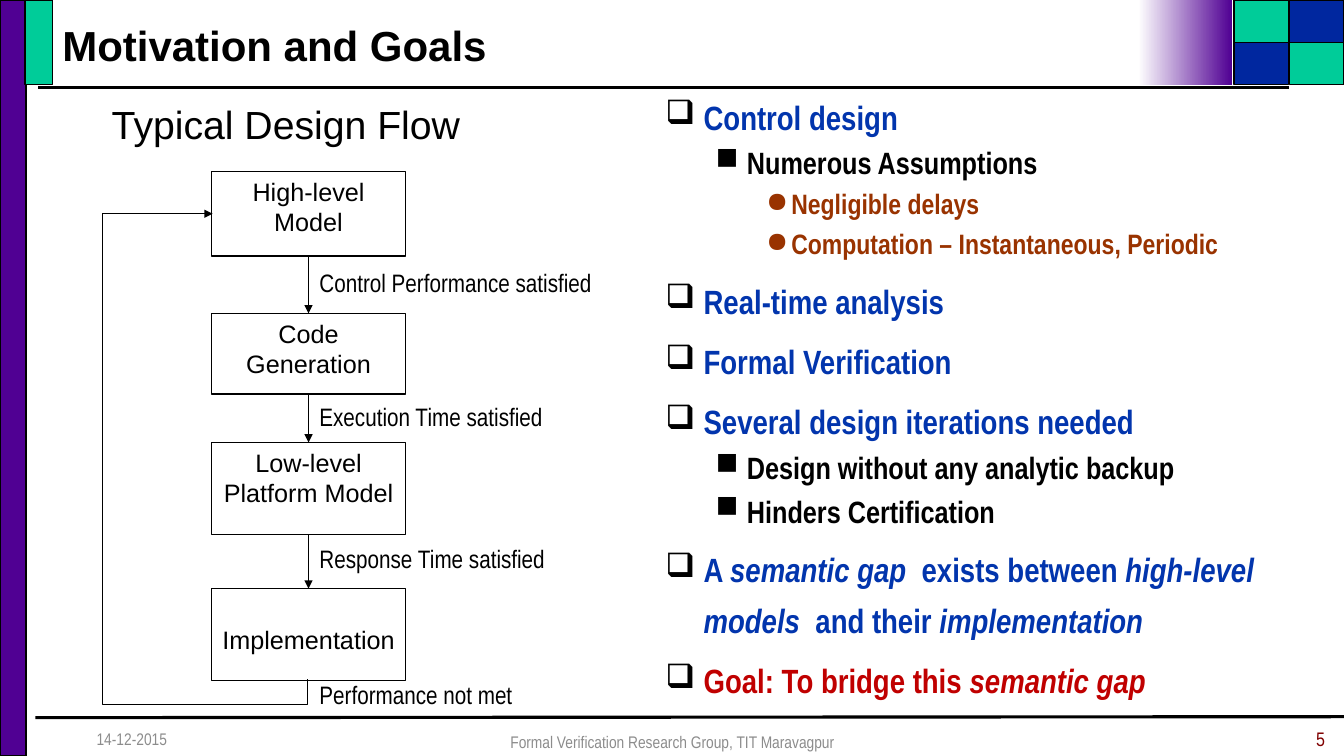
import dataclasses

import lxml.etree
import pptx
import pptx.dml.color
import pptx.enum.shapes
import pptx.enum.text
import pptx.oxml.ns
import pptx.util

Inches = pptx.util.Inches
Pt = pptx.util.Pt
ALIGN = pptx.enum.text.PP_ALIGN
ANCHOR = pptx.enum.text.MSO_ANCHOR
LINK = pptx.enum.shapes.MSO_CONNECTOR
RECT = pptx.enum.shapes.MSO_SHAPE.RECTANGLE


@dataclasses.dataclass(frozen=True)
class Theme:
    """Colours, fonts and type sizes of the slide."""
    black: str = "000000"
    white: str = "FFFFFF"
    purple: str = "500093"
    navy: str = "00279F"
    green: str = "00CC99"
    blue: str = "0235AD"
    brown: str = "993300"
    red: str = "C00000"
    maroon: str = "800000"
    grey: str = "8C8C8C"
    sans: str = "Arial"
    narrow: str = "Arial Narrow"
    title: int = 30
    head: int = 28
    label: int = 18
    page: int = 14
    foot: int = 12


@dataclasses.dataclass(frozen=True)
class Level:
    """Look of one bullet level."""
    mark: str
    tint: str
    color: str
    size: int
    left: float
    hang: float
    lines: float
    before: float


T = Theme()
LEVELS = [
    Level("❑", T.black, T.blue, 24, 0.38, 0.38, 1.25, 7.2),
    Level("■", T.black, T.black, 22, 0.81, 0.31, 1.1, 2.2),
    Level("●", T.brown, T.brown, 20, 1.25, 0.25, 1.1, 2),
]
POINTS = [
    (0, "Control design"),
    (1, "Numerous Assumptions"),
    (2, "Negligible delays"),
    (2, "Computation – Instantaneous, Periodic"),
    (0, "Real-time analysis"),
    (0, "Formal Verification"),
    (0, "Several design iterations needed"),
    (1, "Design without any analytic backup"),
    (1, "Hinders Certification"),
    (0, "A *semantic gap * exists between *high-level models * and their *implementation"),
    (0, "Goal: To bridge this *semantic gap"),
]
STEPS = [
    ("High-level Model", 0.8, 0.84, 0.05),
    ("Code Generation", 2.21, 0.8, 0.05),
    ("Low-level Platform Model", 3.49, 0.91, 0.05),
    ("Implementation", 4.94, 0.91, 0.35),
]
NOTES = [
    ("Control Performance satisfied", 1.7),
    ("Execution Time satisfied", 3.03),
    ("Response Time satisfied", 4.44),
    ("Performance not met", 5.79),
]


def rgb(code):
    """Turn a hex code into a colour."""
    return pptx.dml.color.RGBColor.from_string(code)


def sub(node, tag, **attrs):
    """Add a drawing element under a node."""
    return lxml.etree.SubElement(node, pptx.oxml.ns.qn(tag), **attrs)


def style(run, size, font, color, bold=False):
    """Format one run."""
    run.font.size, run.font.name, run.font.bold = Pt(size), font, bold
    run.font.color.rgb = rgb(color)


def write(shape, words, size, font, color=T.black, align=ALIGN.LEFT,
          anchor=ANCHOR.TOP, bold=False):
    """Put one formatted paragraph into a shape."""
    frame = shape.text_frame
    frame.text, frame.word_wrap, frame.vertical_anchor = words, True, anchor
    frame.paragraphs[0].alignment = align
    style(frame.paragraphs[0].runs[0], size, font, color, bold)


def text(slide, box, *args, **opts):
    """Add a text box holding one paragraph."""
    write(slide.shapes.add_textbox(*map(Inches, box)), *args, **opts)


def block(slide, box, fill=None):
    """Add an outlined rectangle."""
    shape = slide.shapes.add_shape(RECT, *map(Inches, box))
    shape.shadow.inherit = False
    if fill:
        shape.fill.solid()
        shape.fill.fore_color.rgb = rgb(fill)
    else:
        shape.fill.background()
    shape.line.color.rgb, shape.line.width = rgb(T.black), Pt(1)
    return shape


def link(slide, kind, ends, width, arrow=False):
    """Add a black line, with an arrowhead if asked."""
    line = slide.shapes.add_connector(kind, *map(Inches, ends))
    line.line.color.rgb, line.line.width = rgb(T.black), Pt(width)
    if arrow:
        sub(line.line._get_or_add_ln(), "a:tailEnd", type="triangle")
    sub(line._element.spPr, "a:effectLst")
    return line


def banner(slide, box):
    """Draw the rules, side bar, corner squares and title."""
    x, y, w, h = box
    link(slide, LINK.STRAIGHT, (x + 0.38, y + 0.87, x + 12.78, y + 0.87), 2.25)
    block(slide, (x, y, 0.26, h), T.purple)
    link(slide, LINK.STRAIGHT, (x + 0.35, y + 7.12, x + w, y + 7.11), 2.25)
    side, tall = 0.55, 0.42
    for row in range(2):
        for col in range(2):
            spot = (x + 12.24 + col * side, y + row * tall, w - 12.24 - side, tall)
            block(slide, spot, T.navy if (row + col) % 2 else T.green)
    block(slide, (x + 0.25, y, 0.27, 2 * tall), T.green)
    fade = block(slide, (x + 11.29, y, 0.93, 2 * tall))
    fade.line.fill.background()
    fade.fill.gradient()
    fade.fill.gradient_angle = 0
    for stop, color, spot in zip(fade.fill.gradient_stops, (T.white, T.purple), (0, 1)):
        stop.color.rgb, stop.position = rgb(color), spot
    text(slide, (x + 0.52, y + 0.14, 10.99, 0.61), "Motivation and Goals",
         T.title, T.sans, anchor=ANCHOR.MIDDLE, bold=True)


def loop(slide, box, last, first):
    """Draw the arrow from the last step back to the first."""
    x, y = box[:2]
    line = link(slide, LINK.ELBOW, (x, y, x + 1, y + 1), 1, True)
    line.begin_connect(last, 2)
    line.end_connect(first, 1)
    line.left, line.top = Inches(x - 0.53), Inches(y + 3.06)
    line.width, line.height = Inches(4.62), Inches(0.94)
    xfrm = line._element.spPr.find(pptx.oxml.ns.qn("a:xfrm"))
    xfrm.attrib.pop("flipV", None)
    xfrm.set("rot", "5400000")
    xfrm.set("flipH", "1")
    geom = line._element.spPr.find(pptx.oxml.ns.qn("a:prstGeom"))
    geom.set("prst", "bentConnector4")
    guides = geom.find(pptx.oxml.ns.qn("a:avLst"))
    for name, value in (("adj1", -5400), ("adj2", 216000)):
        sub(guides, "a:gd", name=name, fmla=f"val {value}")


def flow(slide, box):
    """Draw the design flow with its steps, arrows and notes."""
    x, y, w, h = box
    text(slide, (x + 0.21, y + 0.02, 4.08, 0.61), "Typical Design Flow",
         T.head, T.sans, anchor=ANCHOR.MIDDLE)
    steps = []
    for words, top, tall, inset in STEPS:
        step = block(slide, (x + 1.3, y + top, 1.92, tall))
        write(step, words, T.label, T.sans, align=ALIGN.CENTER)
        step.text_frame.margin_top = Inches(inset)
        steps.append(step)
    for start, end in zip(steps, steps[1:]):
        line = link(slide, LINK.STRAIGHT, (x, y, x, y), 1, True)
        line.begin_connect(start, 2)
        line.end_connect(end, 0)
    loop(slide, box, steps[-1], steps[0])
    for words, top in NOTES:
        text(slide, (x + 2.27, y + top, w - 2.27, 0.4), words, T.label, T.narrow)


def points(slide, box):
    """Write the bulleted list; stars switch italics."""
    frame = slide.shapes.add_textbox(*map(Inches, box)).text_frame
    frame.word_wrap = True
    for index, (depth, words) in enumerate(POINTS):
        para = frame.add_paragraph() if index else frame.paragraphs[0]
        look = LEVELS[depth]
        para.level, para.line_spacing = depth, look.lines
        para.space_before = Pt(look.before)
        props = para._p.get_or_add_pPr()
        props.set("marL", str(Inches(look.left)))
        props.set("indent", str(-Inches(look.hang)))
        sub(sub(props, "a:buClr"), "a:srgbClr", val=look.tint)
        sub(props, "a:buChar", char=look.mark)
        color = T.red if words.startswith("Goal") else look.color
        for turn, part in enumerate(words.split("*")):
            run = para.add_run()
            run.text = part
            style(run, look.size, T.narrow, color, True)
            run.font.italic = turn % 2 == 1


def footer(slide, box):
    """Write the date, group name and page number."""
    x, y, w, h = box
    text(slide, (x, y, 3, h), "14-12-2015", T.foot, T.narrow, T.grey,
         anchor=ANCHOR.MIDDLE)
    text(slide, (x + 3.56, y + 0.03, 4.5, h),
         "Formal Verification Research Group, TIT Maravagpur",
         T.foot, T.narrow, T.grey, ALIGN.CENTER, ANCHOR.MIDDLE)
    text(slide, (x + w - 2.33, y + 0.03, 2.33, 0.35), "5", T.page, T.narrow,
         T.maroon, ALIGN.RIGHT)


deck = pptx.Presentation()
deck.slide_width, deck.slide_height = Inches(13.33), Inches(7.5)
page = deck.slides.add_slide(deck.slide_layouts[6])
banner(page, (0, 0, 13.33, 7.5))
flow(page, (0.8, 0.9, 5.2, 6.2))
points(page, (6.5, 0.81, 6.59, 5.41))
footer(page, (0.86, 7.13, 12.38, 0.4))
deck.save("out.pptx")
